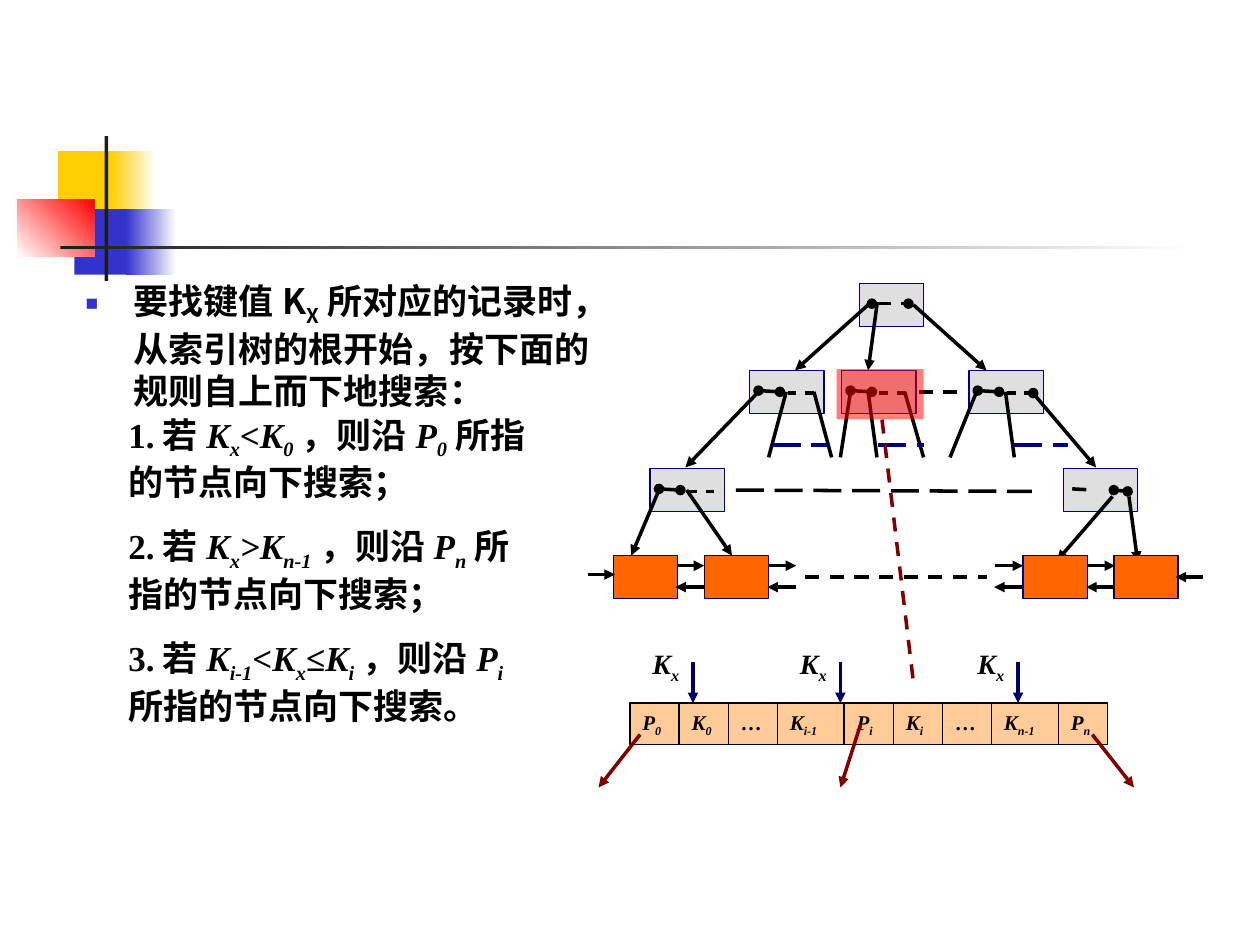
from dataclasses import dataclass

from lxml import etree
from pptx import Presentation
from pptx import util as u
from pptx.dml.color import RGBColor
from pptx.enum import dml, shapes, text
from pptx.oxml.ns import qn


@dataclass(frozen=True)
class Theme:
    ink: str = "000000"
    bar: str = "1C1C1C"
    white: str = "FFFFFF"
    yellow: str = "FFCF01"
    blue: str = "3333CC"
    red: str = "FF0000"
    navy: str = "000080"
    probe: str = "000066"
    maroon: str = "800000"
    node: str = "C0C0C0"
    leaf: str = "FF6600"
    cell: str = "FFCC99"
    latin: str = "Times New Roman"
    cjk: str = "Noto Sans CJK SC"
    body_size: int = 20
    probe_size: int = 16
    cell_size: int = 12


DASH, LONG = dml.MSO_LINE.DASH, dml.MSO_LINE.LONG_DASH
ARROW, DOT = "triangle", "oval"


def child(parent, tag, **attributes):
    return etree.SubElement(parent, qn(tag), attributes)


def write(paragraph, marked, *, size, color, font, east, before=0, align=None):
    """Add runs split at "|": "/" marks italic, "_" italic subscript, "~" upright subscript."""
    paragraph.space_before = u.Pt(before)
    paragraph.alignment = align
    for piece in marked.split("|"):
        mark = piece[0] if piece[0] in "/_~" else ""
        run = paragraph.add_run()
        run.text = piece[len(mark):]
        run.font.size, run.font.name, run.font.bold = u.Pt(size), font, True
        run.font.italic = mark in ("/", "_")
        run.font.color.rgb = RGBColor.from_string(color)
        properties = run.font._element
        child(properties, "a:ea", typeface=east)
        if mark in ("_", "~"):
            properties.set("baseline", "-25000")


class Canvas:
    def __init__(self, slide, theme):
        self.slide, self.theme = slide, theme

    def rect(self, left, top, width, height, fill, *, fade=None, angle=0,
             alpha=None, outline=None):
        box = self.slide.shapes.add_shape(
            shapes.MSO_SHAPE.RECTANGLE, *map(u.Inches, (left, top, width, height)))
        box.shadow.inherit = False
        if fade:
            box.fill.gradient()
            box.fill.gradient_angle = angle
            for stop, color, position in zip(box.fill.gradient_stops, (fill, fade), (0, 1)):
                stop.color.rgb = RGBColor.from_string(color)
                stop.position = position
        else:
            box.fill.solid()
            box.fill.fore_color.rgb = RGBColor.from_string(fill)
        if alpha:
            child(box._element.spPr.find(".//" + qn("a:srgbClr")), "a:alpha",
                  val=str(alpha * 1000))
        if outline:
            box.line.color.rgb = RGBColor.from_string(outline)
            box.line.width = u.Pt(0.75)
        else:
            box.line.fill.background()
        return box

    def line(self, x1, y1, x2, y2, *, color=None, dash=None, head=None, tail=None):
        link = self.slide.shapes.add_connector(
            shapes.MSO_CONNECTOR.STRAIGHT, *map(u.Inches, (x1, y1, x2, y2)))
        link.line.color.rgb = RGBColor.from_string(color or self.theme.ink)
        link.line.width = u.Pt(2)
        if dash:
            link.line.dash_style = dash
        for tag, end in (("a:headEnd", head), ("a:tailEnd", tail)):
            if end:
                child(link.line._ln, tag, type=end)
        child(link._element.spPr, "a:effectLst")

    def frame(self, shape, *paragraphs, **style):
        """Fill a shape's text frame, top-anchored and wrapped."""
        frame = shape.text_frame
        frame.word_wrap = True
        frame.auto_size = text.MSO_AUTO_SIZE.NONE
        frame.vertical_anchor = text.MSO_ANCHOR.TOP
        for i, marked in enumerate(paragraphs):
            paragraph = frame.add_paragraph() if i else frame.paragraphs[0]
            write(paragraph, marked, **{"color": self.theme.ink, "font": self.theme.latin,
                                        "east": self.theme.cjk, **style})

    def label(self, left, top, width, height, *paragraphs, **style):
        box = self.slide.shapes.add_textbox(*map(u.Inches, (left, top, width, height)))
        self.frame(box, *paragraphs, **style)

    def node(self, left, top, width=0.59):
        self.rect(left, top, width, 0.34, self.theme.node, alpha=50, outline=self.theme.navy)

    def index_node(self, left, top, last=None):
        """Index block with two pointer dots and two ticks; last ends the final tick."""
        self.node(left, top)
        self.line(left + 0.07, top + 0.16, left + 0.24, top + 0.17,
                  dash=DASH, head=DOT, tail=DOT)
        for offset, end in ((0.3, None), (0.44, last)):
            self.line(left + offset, top + 0.18, left + offset + 0.07, top + 0.18, tail=end)


def draw_ornament(c):
    t = c.theme
    c.rect(0.46, 1.2, 0.48, 0.52, t.yellow)
    c.rect(0.88, 1.2, 0.36, 0.52, t.yellow, fade=t.white)
    c.rect(0.59, 1.66, 0.46, 0.52, t.blue)
    c.rect(1, 1.66, 0.4, 0.52, t.blue, fade=t.white)
    c.rect(0.14, 1.58, 0.61, 0.46, t.white, fade=t.red, angle=45)
    c.rect(0.83, 1.08, 0.03, 1.15, t.bar)
    c.rect(0.48, 1.95, 9, 0.03, t.bar, fade=t.white)


def draw_rules(c, body):
    t = c.theme
    body.left, body.top, body.width, body.height = map(u.Inches, (0.58, 2.17, 4.42, 1.75))
    c.frame(body, "要找键值K|~X|所对应的记录时，从索引树的根开始，按下面的规则自上而下地搜索：",
            size=t.body_size, font=t.cjk, before=5)
    bullet = body.text_frame.paragraphs[0]._p.get_or_add_pPr()
    bullet.set("marL", str(u.Inches(0.38)))
    bullet.set("indent", str(-u.Inches(0.38)))
    child(child(bullet, "a:buClr"), "a:srgbClr", val=t.blue)
    child(bullet, "a:buSzPct", val="60000")
    child(bullet, "a:buChar", char="■")
    c.label(0.92, 3.23, 3.5, 2.59,
            "1.若|/K|_x|/<K|_0|，则沿|/P|_0|所指的节点向下搜索；",
            "2.若|/K|_x|/>K|_n-1|，则沿|/P|_n|所指的节点向下搜索；",
            "3.若|/K|_i-1|<|/K|_x|≤|/K|_i|，则沿|/P|_i|所指的节点向下搜索。",
            size=t.body_size, before=12.5)


def draw_tree(c):
    t = c.theme
    c.node(6.82, 2.25, 0.51)
    c.line(6.92, 2.41, 7.21, 2.41, dash=DASH, head=DOT, tail=DOT)
    for start, end in ((6.89, 6.31), (6.96, 6.89), (7.25, 7.83)):
        c.line(start, 2.42, end, 2.94, tail=ARROW)

    for left, last in ((5.95, None), (6.68, None), (7.69, DOT)):
        c.index_node(left, 2.94, last)
    for start, end in ((6.24, 6.1), (6.46, 6.6), (6.75, 6.67), (6.89, 6.96),
                       (7.18, 7.33), (7.75, 7.54), (7.98, 8.05)):
        c.line(start, 3.11, end, 3.63)
    for start, end in ((6.02, 5.44), (8.19, 8.7)):
        c.line(start, 3.11, end, 3.71, tail=ARROW)
    for start, end in ((6.13, 6.56), (6.97, 7.33), (8.05, 8.48)):
        c.line(start, 3.53, end, 3.53, color=t.navy, dash=LONG)
    c.line(7.29, 3.11, 7.65, 3.11, dash=DASH)

    c.index_node(5.16, 3.72)
    c.line(5.84, 3.89, 8.19, 3.9, dash=LONG)
    c.node(8.44, 3.72)
    c.line(8.51, 3.88, 8.69, 3.89, dash=DASH)
    c.line(8.84, 3.89, 8.95, 3.9, head=DOT, tail=DOT)
    for x1, y1, x2, y2 in ((5.45, 3.89, 5.81, 4.41), (5.23, 3.89, 5.01, 4.41),
                           (8.83, 3.94, 8.39, 4.45), (8.96, 3.94, 9.03, 4.46)):
        c.line(x1, y1, x2, y2, tail=ARROW)

    for left in (4.87, 5.59, 8.12, 8.84):
        c.rect(left, 4.41, 0.51, 0.34, t.leaf, outline=t.navy)
    for gap in (5.37, 6.1, 7.9, 8.63):
        c.line(gap, 4.49, gap + 0.22, 4.49, tail=ARROW)
        c.line(gap + 0.22, 4.66, gap - 0.01, 4.66, tail=ARROW)
    c.line(4.67, 4.56, 4.88, 4.56, tail=ARROW)
    c.line(9.55, 4.58, 9.33, 4.58, tail=ARROW)
    c.line(6.39, 4.58, 7.83, 4.58, dash=DASH)


def draw_key_row(c):
    t = c.theme
    justify = text.PP_ALIGN.JUSTIFY
    left = 5
    for entry in ("/P|_0", "/K|_0", "…", "/K|_i-1", "/P|_i", "/K|_i", "…", "/K|_n-1", "/P|_n"):
        width = 0.53 if "-1" in entry else 0.39
        cell = c.rect(left, 5.58, width, 0.33, t.cell, outline=t.ink)
        c.frame(cell, entry, size=t.cell_size, align=justify)
        left += width
    for probe in (5.5, 6.67, 8.08):
        c.line(probe, 5.25, probe, 5.58, color=t.probe, tail=ARROW)
        c.label(probe - 0.42, 5.08, 0.5, 0.33, "/K|_x", size=t.probe_size, align=justify)
    for x1, y1, x2 in ((5.08, 5.83, 4.75), (6.83, 5.75, 6.67), (8.67, 5.83, 9)):
        c.line(x1, y1, x2, 6.25, color=t.maroon, tail=ARROW)
    c.rect(6.64, 2.93, 0.69, 0.4, t.red, alpha=50)
    c.line(7, 3.33, 7.25, 5.42, color=t.maroon, dash=DASH)


def main():
    deck = Presentation()
    deck.slide_width, deck.slide_height = u.Inches(10), u.Inches(7.5)
    slide = deck.slides.add_slide(deck.slide_layouts[1])
    title = slide.shapes.title._element
    title.getparent().remove(title)
    canvas = Canvas(slide, Theme())
    draw_ornament(canvas)
    draw_rules(canvas, slide.placeholders[1])
    draw_tree(canvas)
    draw_key_row(canvas)
    deck.save("out.pptx")


if __name__ == "__main__":
    main()
